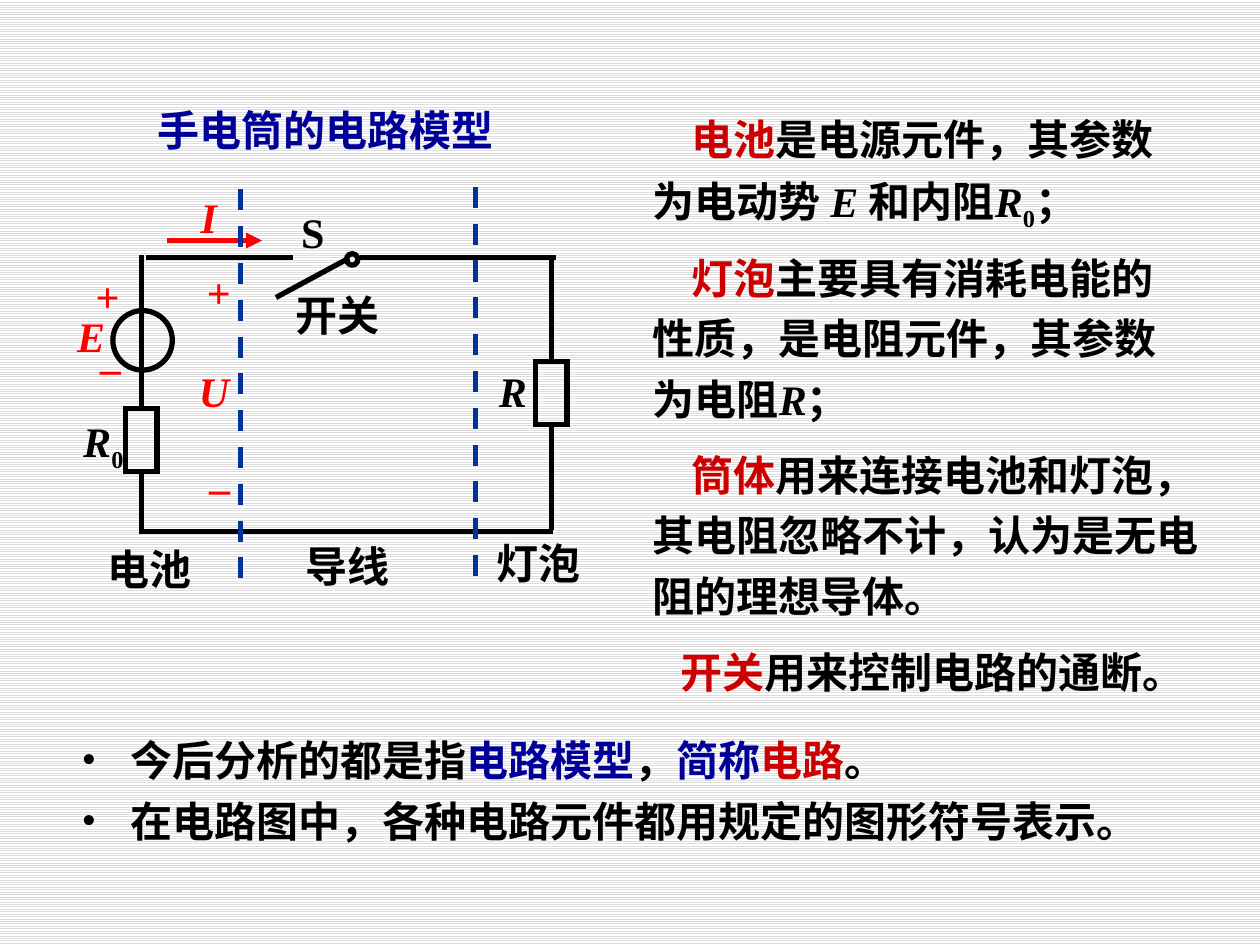
from lxml import etree
from pptx import Presentation
from pptx import util as u
from pptx.dml.color import RGBColor
from pptx.enum import dml, lang, shapes, text
from pptx.oxml.ns import qn

Pt = u.Pt
COLORS = {"black": "000000", "blue": "000099", "red": "FF0000",
          "crimson": "CC0000", "divider": "003399",
          "stripe": "DDDDDD", "white": "FFFFFF"}
C = {name: RGBColor.from_string(value) for name, value in COLORS.items()}
FONT = {"name": "Times New Roman", "size": Pt(24), "bold": True,
        "language_id": lang.MSO_LANGUAGE_ID.SIMPLIFIED_CHINESE}

prs = Presentation()
prs.slide_width, prs.slide_height = Pt(720), Pt(540)
s = prs.slides.add_slide(prs.slide_layouts[6])
bg = s.background.fill
bg.patterned()
bg.pattern = dml.MSO_PATTERN.LIGHT_HORIZONTAL
bg.fore_color.rgb, bg.back_color.rgb = C["stripe"], C["white"]


def add_text(box, paragraphs, wrap=True, align=None, spacing=None,
             indent=0, bullet=False):
    """Add a text box; each run is (text, colour, style), style "", "i" or "sub"."""
    tf = s.shapes.add_textbox(*map(Pt, box)).text_frame
    tf.word_wrap = wrap
    tf.auto_size = text.MSO_AUTO_SIZE.SHAPE_TO_FIT_TEXT
    for n, runs in enumerate(paragraphs):
        p = tf.add_paragraph() if n else tf.paragraphs[0]
        p.alignment, p.line_spacing = align, spacing
        pPr = p._p.get_or_add_pPr()
        if indent:
            pPr.set("indent", str(Pt(indent)))
        if bullet:
            pPr.set("marL", str(Pt(-indent)))
            etree.SubElement(pPr, qn("a:buFont")).set("typeface", FONT["name"])
            etree.SubElement(pPr, qn("a:buChar")).set("char", "•")
        for words, color, style in runs:
            r = p.add_run()
            r.text = words
            for key, value in FONT.items():
                setattr(r.font, key, value)
            r.font.italic = style == "i"
            r.font.color.rgb = C[color]
            if style == "sub":
                r._r.get_or_add_rPr().set("baseline", "-25000")


def add_line(x1, y1, x2, y2, color="black"):
    sp = s.shapes.add_connector(shapes.MSO_CONNECTOR.STRAIGHT,
                                *map(Pt, (x1, y1, x2, y2)))
    sp.line.color.rgb, sp.line.width = C[color], Pt(3)
    etree.SubElement(sp._element.spPr, qn("a:effectLst"))
    return sp


# Circuit symbols
RECT, OVAL = shapes.MSO_SHAPE.RECTANGLE, shapes.MSO_SHAPE.OVAL
symbols = {}
for name, kind, box in [
    ("lamp", RECT, (306, 206.5, 18, 36)),
    ("source", OVAL, (64.5, 177.5, 34, 34)),
    ("inner resistance", RECT, (71.7, 233.5, 18, 36)),
    ("switch pivot", OVAL, (198, 145, 6.5, 6.5)),
]:
    sp = s.shapes.add_shape(kind, *map(Pt, box))
    sp.shadow.inherit = False
    sp.fill.background()
    sp.line.color.rgb, sp.line.width = C["black"], Pt(3)
    etree.SubElement(sp.line._get_or_add_ln(), qn("a:miter")).set("lim", "800000")
    symbols[name] = sp

# Wires that end on a resistor
for x, y, end_y, name, site in [
    (80.7, 145.5, 233.5, "inner resistance", 0),
    (80.7, 305, 269.5, "inner resistance", 2),
    (315, 146, 206.5, "lamp", 0),
    (315, 303, 242.5, "lamp", 2),
]:
    add_line(x, y, x, end_y).end_connect(symbols[name], site)

# Free wires and the switch blade
for ends in [(80, 303.7, 316, 303.7), (83.7, 147, 167.2, 147),
             (206, 147, 317.5, 147), (157.7, 170, 199.5, 147.5)]:
    add_line(*ends)

current = add_line(95.7, 137.5, 149.7, 137.5, "red")
etree.SubElement(current.line._get_or_add_ln(), qn("a:tailEnd")).set("type", "triangle")

# Circuit labels
CENTER = text.PP_ALIGN.CENTER
for words, box, color, style, wrap, align in [
    ("R", (278, 205.5, 31, 37), "black", "i", False, None),
    ("S", (165, 114.5, 42, 37), "black", "", True, None),
    ("E", (37, 174, 31, 37), "red", "i", False, None),
    ("U", (106.5, 205.5, 32, 37), "red", "i", False, None),
    ("I", (107.5, 106, 48, 37), "red", "i", True, None),
    ("+", (47.5, 151, 28, 37), "red", "", False, CENTER),
    ("–", (44, 191.5, 38, 37), "red", "", True, CENTER),
    ("+", (111, 148.5, 28, 37), "red", "", False, CENTER),
    ("–", (106.5, 260, 38, 37), "red", "", True, CENTER),
    ("电池", (54.5, 307, 63.5, 37), "black", "", False, None),
    ("导线", (167.5, 305.5, 63.5, 37), "black", "", False, None),
    ("开关", (162, 162, 63.5, 37), "black", "", False, None),
]:
    add_text(box, [[(words, color, style)]], wrap, align)
add_text((40.5, 234, 47.5, 37), [[("R", "black", "i"), ("0", "black", "sub")]])
add_text((276.5, 311.5, 71, 27), [[("灯泡", "black", "")]], spacing=0.7)
add_text((83, 56, 254, 37), [[("手电筒的电路模型", "blue", "")]])

# Dividers between battery, wires and lamp
for x, y in [(137.6, 108.2), (271.7, 106.8)]:
    add_line(x, y, x, y + 225.5, "divider").line.dash_style = dml.MSO_LINE.DASH

# Explanations
for box, term, rest in [
    ((366, 55.5, 318, 73.5), "电池",
     [("是电源元件，其参数为电动势 ", ""), ("E ", "i"), ("和内阻", ""),
      ("R", "i"), ("0", "sub"), ("；", "")]),
    ((366, 135, 324, 108.5), "灯泡",
     [("主要具有消耗电能的性质，是电阻元件，其参数为电阻", ""), ("R", "i"), ("；", "")]),
    ((366, 247.5, 336, 108.5), "筒体",
     [("用来连接电池和灯泡，其电阻忽略不计，认为是无电阻的理想导体。", "")]),
    ((360, 360, 324, 39.5), "开关", [("用来控制电路的通断。", "")]),
]:
    runs = [(term, "crimson", "")] + [(words, "black", style) for words, style in rest]
    add_text(box, [runs], spacing=1.2, indent=22)

# Conclusions
add_text((39.5, 410.5, 646.5, 77), [
    [("今后分析的都是指", "black", ""), ("电路模型", "blue", ""), ("，", "black", ""),
     ("简称", "blue", ""), ("电路", "crimson", ""), ("。", "black", "")],
    [("在电路图中，各种电路元件都用规定的图形符号表示。", "black", "")],
], spacing=1.2, indent=-28, bullet=True)

prs.save("out.pptx")
